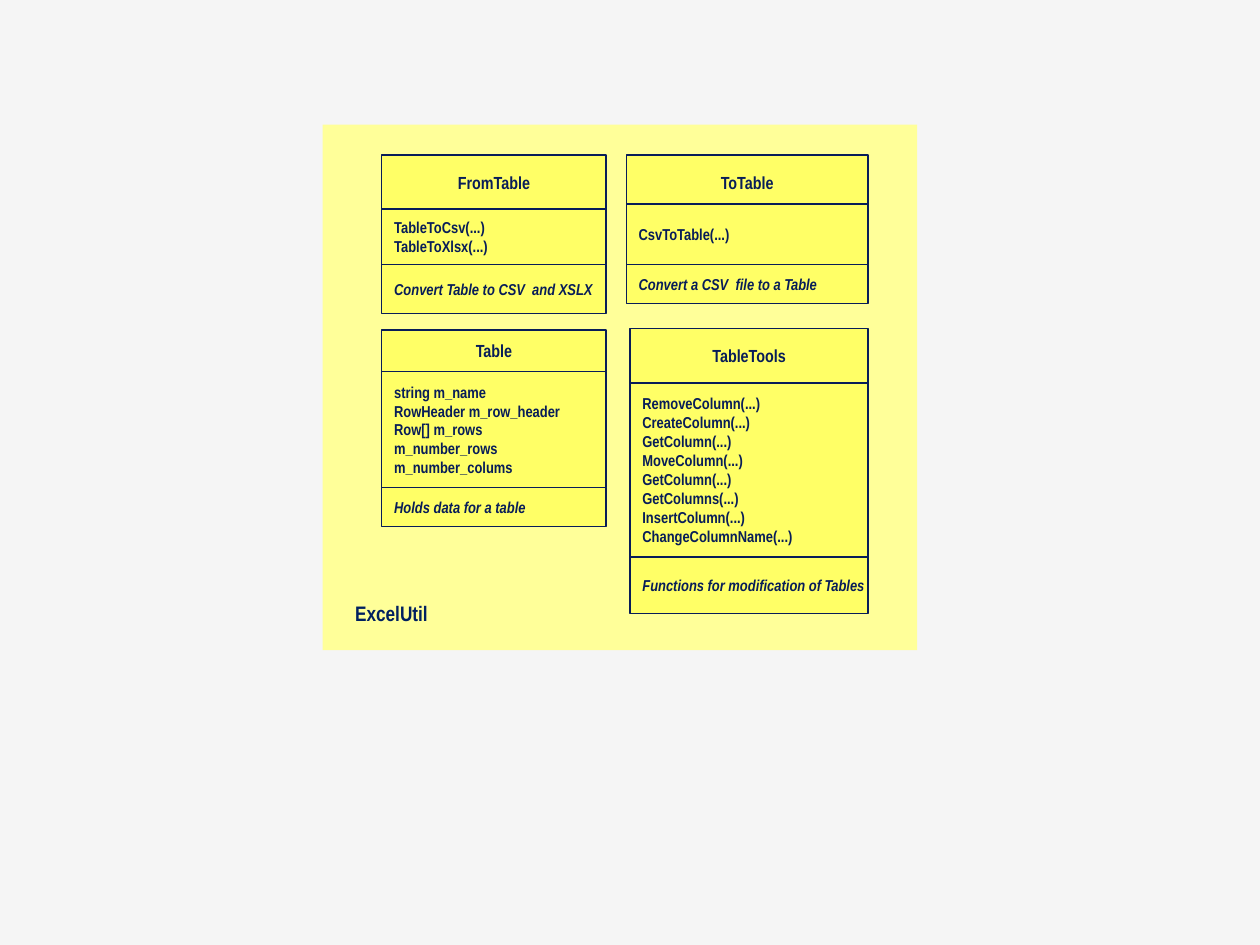
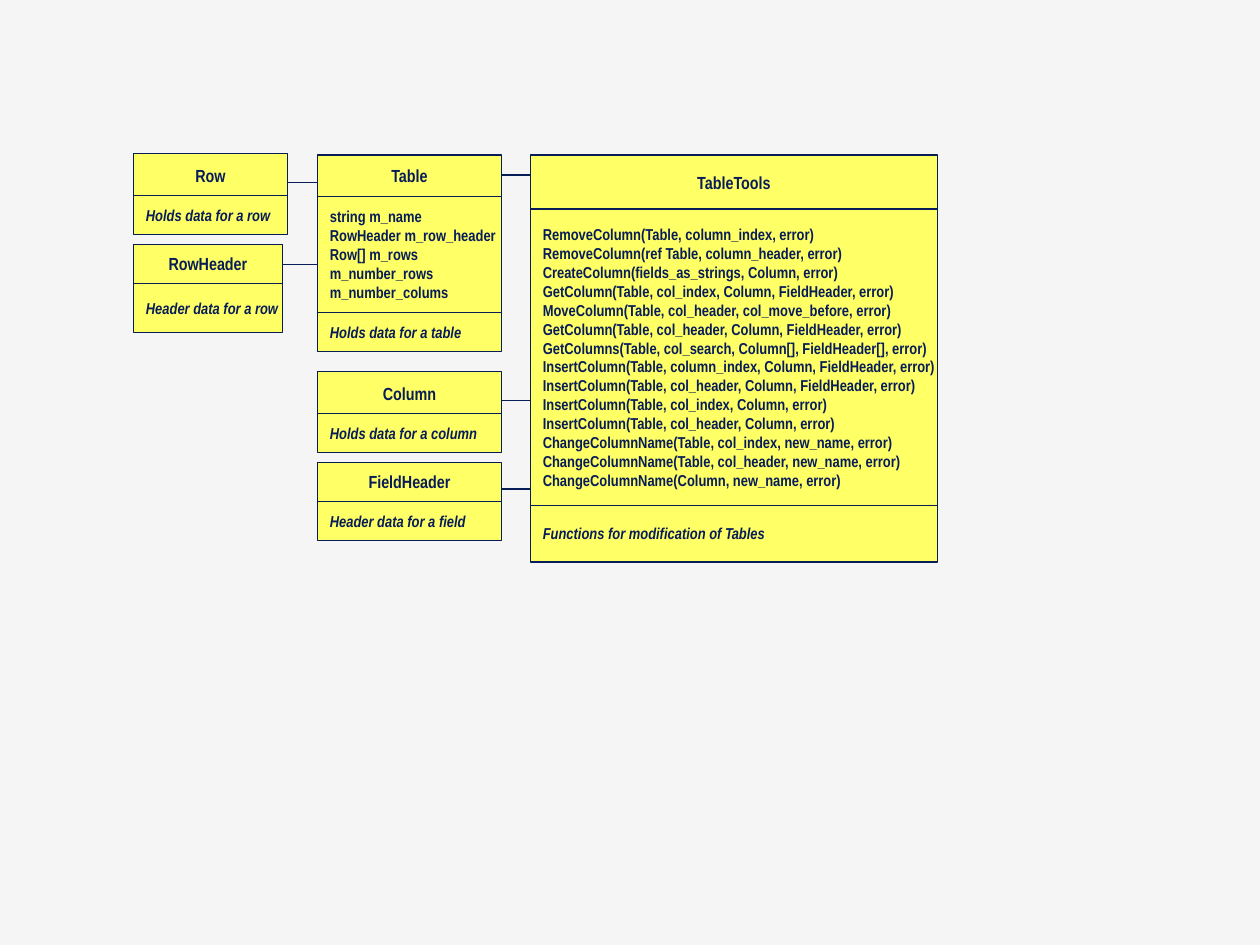
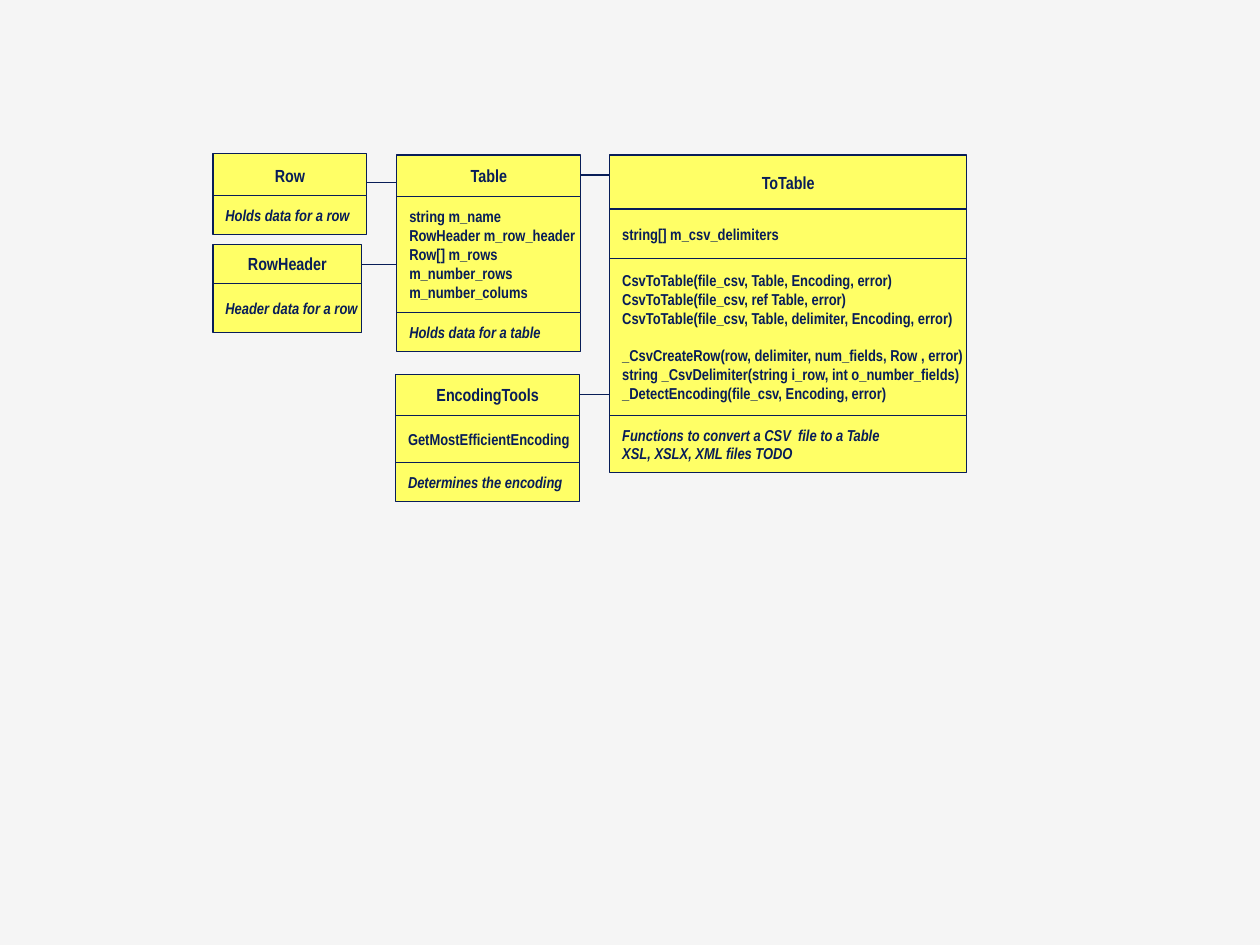
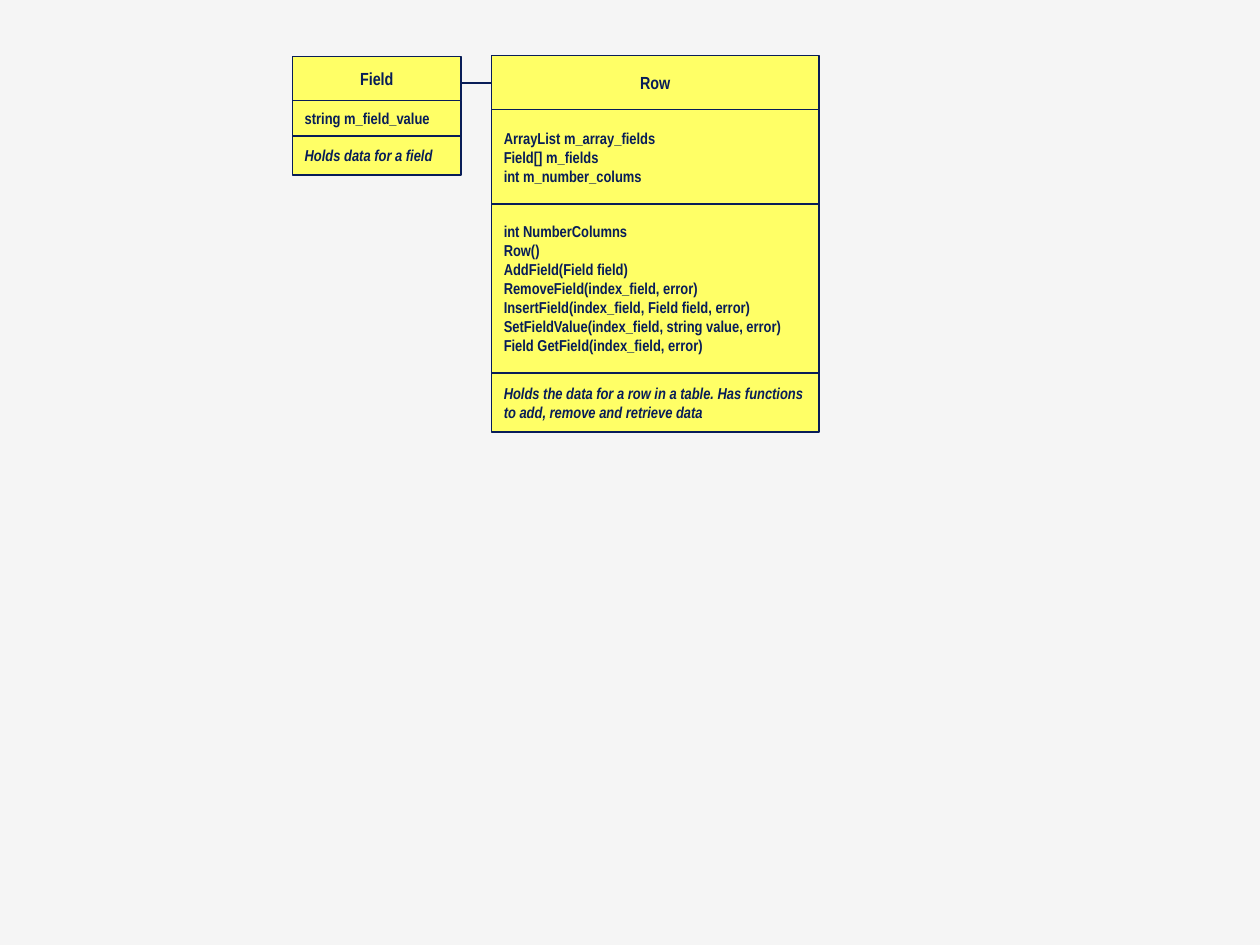
"""Build four class diagram slides for a table utility library."""
from pptx import Presentation
from pptx.dml.color import RGBColor
from pptx.enum.shapes import MSO_CONNECTOR as CONNECTOR, MSO_SHAPE as SHAPE
from pptx.enum.text import MSO_ANCHOR as ANCHOR, MSO_AUTO_SIZE as AUTO_SIZE, PP_ALIGN as ALIGN
from pptx.oxml.ns import qn
from pptx.util import Inches, Pt

TABLE_FIELDS = ["string m_name", "RowHeader m_row_header", "Row[] m_rows",
                "m_number_rows", "m_number_colums"]
TABLE_HEIGHTS = [0.33, 0.92, 0.31]


def color(value):
    return RGBColor.from_string(value)


class Diagram:
    font = "Arial Narrow"
    ink = "081D58"
    label_ink = "002060"
    box_fill = "FFFF66"
    panel_fill = "FFFF99"
    background = "F5F5F5"
    line_width = Pt(0.75)
    title_size, body_size, label_size = 10, 9, 12
    blank_line = Pt(10.3)

    def __init__(self):
        self.presentation = Presentation()
        self.presentation.slide_width = Inches(10)
        self.presentation.slide_height = Inches(7.5)
        self.slide = None

    def new_slide(self):
        self.slide = self.presentation.slides.add_slide(self.presentation.slide_layouts[6])
        fill = self.slide.background.fill
        fill.solid()
        fill.fore_color.rgb = color(self.background)

    def rectangle(self, left, top, width, height, fill):
        shape = self.slide.shapes.add_shape(
            SHAPE.RECTANGLE, Inches(left), Inches(top), Inches(width), Inches(height))
        shape.shadow.inherit = False
        shape.fill.solid()
        shape.fill.fore_color.rgb = color(fill)
        shape.line.fill.background()
        return shape

    def add_lines(self, frame, lines, size, ink, align=ALIGN.LEFT, italic=False):
        """Add one paragraph per line; an empty line becomes space before the next."""
        paragraph, gap = frame.paragraphs[0], False
        for index, line in enumerate(lines):
            if not line:
                gap = True
                continue
            if index:
                paragraph = frame.add_paragraph()
            paragraph.alignment = align
            if gap:
                paragraph.space_before = self.blank_line
                gap = False
            run = paragraph.add_run()
            run.text = line
            run.font.name = self.font
            run.font.size = Pt(size)
            run.font.bold = True
            run.font.italic = italic
            run.font.color.rgb = color(ink)

    def section(self, left, top, width, height, lines, **style):
        shape = self.rectangle(left, top, width, height, self.box_fill)
        shape.line.color.rgb = color(self.ink)
        shape.line.width = self.line_width
        frame = shape.text_frame
        frame.word_wrap = False
        frame.vertical_anchor = ANCHOR.MIDDLE
        self.add_lines(frame, lines, ink=self.ink, **style)

    def class_box(self, left, top, width, heights, name, *bodies, note, overlap=0):
        """Stack a name, the body sections and an italic note."""
        self.section(left, top, width, heights[0], [name],
                     size=self.title_size, align=ALIGN.CENTER)
        top += heights[0] - overlap
        for height, lines in zip(heights[1:], bodies):
            self.section(left, top, width, height, lines, size=self.body_size)
            top += height
        self.section(left, top, width, heights[-1], note, size=self.body_size, italic=True)

    def link(self, left, top, width=0.28):
        connector = self.slide.shapes.add_connector(
            CONNECTOR.STRAIGHT, Inches(left), Inches(top), Inches(left + width), Inches(top))
        connector.line.color.rgb = color(self.ink)
        connector.line.width = self.line_width
        properties = connector._element.spPr
        properties.append(properties.makeelement(qn("a:effectLst"), {}))

    def label(self, left, top, width, height, text):
        box = self.slide.shapes.add_textbox(
            Inches(left), Inches(top), Inches(width), Inches(height))
        box.text_frame.word_wrap = True
        box.text_frame.auto_size = AUTO_SIZE.SHAPE_TO_FIT_TEXT
        self.add_lines(box.text_frame, [text], self.label_size, self.label_ink)

    def table_box(self, left, top, width):
        self.class_box(left, top, width, TABLE_HEIGHTS, "Table", TABLE_FIELDS,
                       note=["Holds data for a table"])

    def table_family(self, left):
        """Draw Row and RowHeader linked to Table, and the link leaving Table."""
        table_left = left + 1.46
        for top in (1.45, 2.1):
            self.link(left + 1.18, top)
        self.link(table_left + 1.46, 1.39)
        self.table_box(table_left, 1.23, 1.46)
        self.class_box(left, 1.22, 1.22, [0.35, 0.31], "Row",
                       note=["Holds data for a row"], overlap=0.02)
        self.class_box(left, 1.94, 1.18, [0.31, 0.39], "RowHeader",
                       note=["Header data for a row"])


diagram = Diagram()

diagram.new_slide()
diagram.rectangle(2.56, 0.99, 4.72, 4.17, diagram.panel_fill)
diagram.class_box(3.03, 1.23, 1.78, [0.43, 0.44, 0.39], "FromTable",
                  ["TableToCsv(...)", "TableToXlsx(...)"],
                  note=["Convert Table to CSV  and XSLX"])
diagram.table_box(3.03, 2.62, 1.78)
diagram.class_box(4.97, 1.23, 1.92, [0.43, 0.48, 0.31], "ToTable", ["CsvToTable(...)"],
                  note=["Convert a CSV  file to a Table"], overlap=0.04)
tool_names = ["RemoveColumn", "CreateColumn", "GetColumn", "MoveColumn",
              "GetColumn", "GetColumns", "InsertColumn", "ChangeColumnName"]
diagram.class_box(5, 2.61, 1.89, [0.43, 1.38, 0.45], "TableTools",
                  [f"{name}(...)" for name in tool_names],
                  note=["Functions for modification of Tables"])
diagram.label(2.72, 4.72, 0.87, 0.3, "ExcelUtil")

diagram.new_slide()
diagram.table_family(1.06)
for link_top in (3.18, 3.88):
    diagram.link(3.94, link_top)
diagram.class_box(4.21, 1.23, 3.23, [0.43, 2.35, 0.45], "TableTools", [
    "RemoveColumn(Table, column_index, error)",
    "RemoveColumn(ref Table, column_header, error)",
    "CreateColumn(fields_as_strings, Column, error)",
    "GetColumn(Table, col_index, Column, FieldHeader, error)",
    "MoveColumn(Table, col_header, col_move_before, error)",
    "GetColumn(Table, col_header, Column, FieldHeader, error)",
    "GetColumns(Table, col_search, Column[], FieldHeader[], error)",
    "InsertColumn(Table, column_index, Column, FieldHeader, error)",
    "InsertColumn(Table, col_header, Column, FieldHeader, error)",
    "InsertColumn(Table, col_index, Column, error)",
    "InsertColumn(Table, col_header, Column, error)",
    "ChangeColumnName(Table, col_index, new_name, error)",
    "ChangeColumnName(Table, col_header, new_name, error)",
    "ChangeColumnName(Column, new_name, error)",
], note=["Functions for modification of Tables"])
diagram.class_box(2.52, 2.95, 1.46, [0.35, 0.31], "Column",
                  note=["Holds data for a column"], overlap=0.02)
diagram.class_box(2.52, 3.67, 1.46, [0.31, 0.31], "FieldHeader",
                  note=["Header data for a field"])

diagram.new_slide()
diagram.table_family(1.69)
diagram.link(4.6, 3.13)
diagram.class_box(4.84, 1.23, 2.83, [0.43, 0.39, 1.25, 0.45], "ToTable",
                  ["string[] m_csv_delimiters"], [
                      "CsvToTable(file_csv, Table, Encoding, error)",
                      "CsvToTable(file_csv, ref Table, error)",
                      "CsvToTable(file_csv, Table, delimiter, Encoding, error)",
                      "",
                      "_CsvCreateRow(row, delimiter, num_fields, Row , error)",
                      "string _CsvDelimiter(string i_row, int o_number_fields)",
                      "_DetectEncoding(file_csv, Encoding, error)",
                  ], note=["Functions to convert a CSV  file to a Table",
                           "XSL, XSLX, XML files TODO"])
diagram.class_box(3.14, 2.97, 1.46, [0.33, 0.37, 0.31], "EncodingTools",
                  ["GetMostEfficientEncoding"], note=["Determines the encoding"])

diagram.new_slide()
diagram.link(3.62, 0.66)
diagram.class_box(3.9, 0.44, 2.6, [0.43, 0.75, 1.34, 0.47], "Row",
                  ["ArrayList m_array_fields", "Field[] m_fields", "int m_number_colums"], [
                      "int NumberColumns",
                      "Row()",
                      "AddField(Field field)",
                      "RemoveField(index_field, error)",
                      "InsertField(index_field, Field field, error)",
                      "SetFieldValue(index_field, string value, error)",
                      "Field GetField(index_field, error)",
                  ], note=["Holds the data for a row in a table. Has functions",
                           "to add, remove and retrieve data"])
diagram.class_box(2.32, 0.45, 1.34, [0.35, 0.28, 0.31], "Field",
                  ["string m_field_value"], note=["Holds data for a field"])

diagram.presentation.save("out.pptx")
